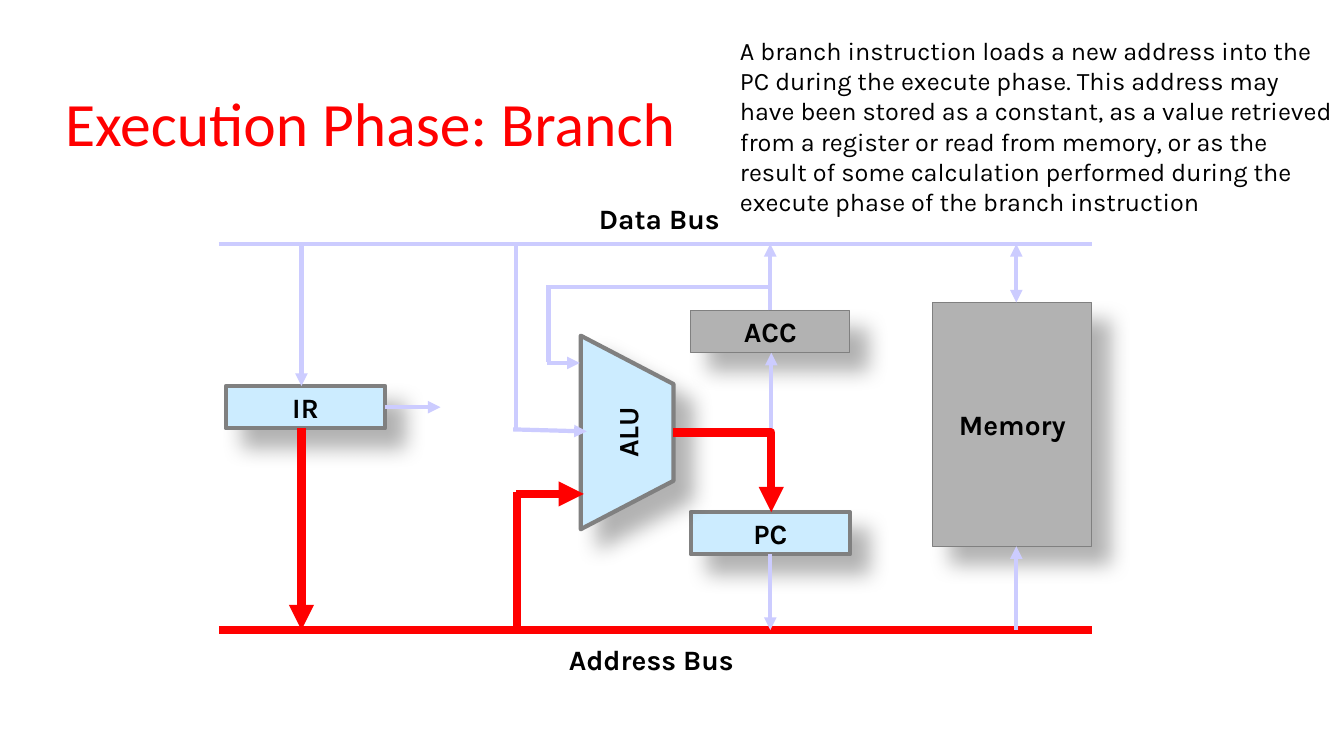
from dataclasses import dataclass

from lxml import etree
from pptx import Presentation
from pptx.dml.color import RGBColor
from pptx.enum.shapes import MSO_CONNECTOR as Link, MSO_SHAPE as Preset
from pptx.enum.text import MSO_ANCHOR as Anchor, PP_ALIGN as Align
from pptx.oxml.ns import qn
from pptx.util import Inches, Pt


@dataclass(frozen=True)
class Theme:
    title_font: str = "Calibri"
    font: str = "Karla"
    title_size: int = 44
    label_size: int = 20
    body_size: int = 18
    active: str = "FF0000"
    idle: str = "CCCCFF"
    used: str = "CCECFF"
    unused: str = "B2B2B2"
    border: str = "808080"
    ink: str = "000000"
    thick: float = 6
    medium: float = 3
    thin: float = 0.75


theme = Theme()

TITLE = ("Execution Phase: Branch", (-1.99, 0.58, 11.33, 1.25))
EXPLANATION = (
    "A branch instruction loads a new address into the PC during the execute phase. "
    "This address may have been stored as a constant, as a value retrieved from a "
    "register or read from memory, or as the result of some calculation performed "
    "during the execute phase of the branch instruction",
    (7.24, 0.3, 6.09, 1.92),
)
BUS_LABELS = [
    ("Address Bus", (4.92, 6.33, 3.08, 0.43)),
    ("Data Bus", (5, 1.95, 3.08, 0.43)),
]

BUS_LEFT, BUS_RIGHT, DATA_Y, ADDRESS_Y = 2.17, 10.83, 2.42, 6.25
REGISTER_W, REGISTER_H = 1.58, 0.42
BLOCKS = {
    "Memory": ((9.25, 3, REGISTER_W, 2.42), False),
    "IR": ((2.24, 3.83, REGISTER_W, REGISTER_H), True),
    "ACC": ((6.85, 3.08, REGISTER_W, REGISTER_H), False),
    "PC": ((6.85, 5.08, REGISTER_W, REGISTER_H), True),
}
ALU_CENTER, ALU_WIDE, ALU_NARROW, ALU_DEPTH = (6.22, 4.29), 1.92, 0.96, 0.92

IR_X, ACC_X, MEMORY_X = 2.99, 7.64, 10.08
ALU_OUT = (6.68, 4.29)
TOP, BOTTOM, RIGHT = 0, 2, 3
BUSES = [
    ((BUS_LEFT, ADDRESS_Y), (BUS_RIGHT, ADDRESS_Y), dict(active=True)),
    ((BUS_LEFT, DATA_Y), (BUS_RIGHT, DATA_Y), {}),
]
WIRES = [
    ((MEMORY_X, ADDRESS_Y), (MEMORY_X, 5.42), dict(tail=True)),
    ((MEMORY_X, 3), (MEMORY_X, DATA_Y), dict(head=True, tail=True)),
    ((IR_X, DATA_Y), (IR_X, 3.83), dict(tail=True)),
    ((IR_X, 4.25), (IR_X, ADDRESS_Y), dict(tail=True, active=True)),
    ((ACC_X, 5.5), (ACC_X, ADDRESS_Y), dict(tail=True, source=("PC", BOTTOM))),
    ((ACC_X, 3.08), (ACC_X, DATA_Y), dict(tail=True, source=("ACC", TOP))),
    ((5.12, 4.9), (5.79, 4.9), dict(tail=True, active=True)),
    ((5.09, 4.26), (5.82, 4.28), dict(tail=True)),
    ((5.13, 4.88), (5.13, 6.26), dict(active=True)),
    ((5.12, 4.26), (5.12, 2.4), {}),
    ((7.63, 2.85), (5.46, 2.85), {}),
    ((5.44, 2.83), (5.44, 3.59), {}),
    ((5.43, 3.6), (5.75, 3.6), dict(tail=True)),
    (ALU_OUT, (7.65, 3.5), dict(tail=True, bent=True)),
    (ALU_OUT, (7.65, 5.08), dict(tail=True, bent=True, active=True)),
    ((3.82, 4.04), (4.37, 4.04), dict(tail=True, source=("IR", RIGHT))),
]


def rgb(color):
    return RGBColor.from_string(color)


def write(holder, text, *, size=theme.label_size, font=theme.font, color=theme.ink,
          bold=False, align=Align.CENTER, anchor=Anchor.TOP, wrap=True):
    frame = holder.text_frame
    frame.word_wrap = wrap
    frame.vertical_anchor = anchor
    paragraph = frame.paragraphs[0]
    paragraph.alignment = align
    run = paragraph.add_run()
    run.text = text
    run.font.size = Pt(size)
    run.font.name = font
    run.font.bold = bold
    run.font.color.rgb = rgb(color)


def add_text(slide, text, place, **style):
    write(slide.shapes.add_textbox(*map(Inches, place)), text, **style)


def finish_block(block, name, used):
    block.fill.solid()
    block.fill.fore_color.rgb = rgb(theme.used if used else theme.unused)
    block.line.color.rgb = rgb(theme.border)
    block.line.width = Pt(theme.medium if used else theme.thin)
    block.shadow.inherit = False
    effects = block._element.spPr.find(qn("a:effectLst"))
    shadow = etree.SubElement(effects, qn("a:outerShdw"), blurRad=str(Pt(15)),
                              dist=str(Pt(18)), dir="2700000", algn="ctr", rotWithShape="0")
    tint = etree.SubElement(shadow, qn("a:srgbClr"), val=theme.ink)
    etree.SubElement(tint, qn("a:alpha"), val="30000")
    write(block, name, bold=True, anchor=Anchor.MIDDLE, wrap=False)
    return block


def add_block(slide, name, place, used):
    block = slide.shapes.add_shape(Preset.RECTANGLE, *map(Inches, place))
    return finish_block(block, name, used)


def add_alu(slide):
    x, y = ALU_CENTER
    top, bottom = y - ALU_DEPTH / 2, y + ALU_DEPTH / 2
    corners = [
        (Inches(x + side * width / 2), Inches(level))
        for side, width, level in [(-1, ALU_WIDE, top), (1, ALU_WIDE, top),
                                   (1, ALU_NARROW, bottom), (-1, ALU_NARROW, bottom)]
    ]
    builder = slide.shapes.build_freeform(*corners[0])
    builder.add_line_segments(corners[1:], close=True)
    alu = builder.convert_to_shape()
    alu.rotation = 270
    finish_block(alu, "ALU", True)


def add_wire(slide, start, end, blocks, *, active=False, head=False, tail=False,
             bent=False, source=None):
    wire = slide.shapes.add_connector(Link.ELBOW if bent else Link.STRAIGHT,
                                      *map(Inches, start + end))
    wire.line.color.rgb = rgb(theme.active if active else theme.idle)
    wire.line.width = Pt(theme.thick if active else theme.medium)
    properties = wire._element.spPr
    if bent:
        properties.find(qn("a:prstGeom")).set("prst", "bentConnector2")
    stroke = properties.find(qn("a:ln"))
    for tag, wanted in (("a:headEnd", head), ("a:tailEnd", tail)):
        if wanted:
            etree.SubElement(stroke, qn(tag), type="triangle")
    etree.SubElement(properties, qn("a:effectLst"))
    if source:
        name, side = source
        wire.begin_connect(blocks[name], side)


def main():
    deck = Presentation()
    deck.slide_width, deck.slide_height = Inches(13.33), Inches(7.5)
    slide = deck.slides.add_slide(deck.slide_layouts[6])

    add_text(slide, *TITLE, size=theme.title_size, font=theme.title_font,
             color=theme.active, anchor=Anchor.MIDDLE)
    for start, end, style in BUSES:
        add_wire(slide, start, end, {}, **style)
    blocks = {name: add_block(slide, name, place, used)
              for name, (place, used) in BLOCKS.items()}
    add_alu(slide)
    for label, place in BUS_LABELS:
        add_text(slide, label, place, bold=True)
    for start, end, style in WIRES:
        add_wire(slide, start, end, blocks, **style)
    add_text(slide, *EXPLANATION, size=theme.body_size, align=Align.LEFT)

    deck.save("out.pptx")


if __name__ == "__main__":
    main()
